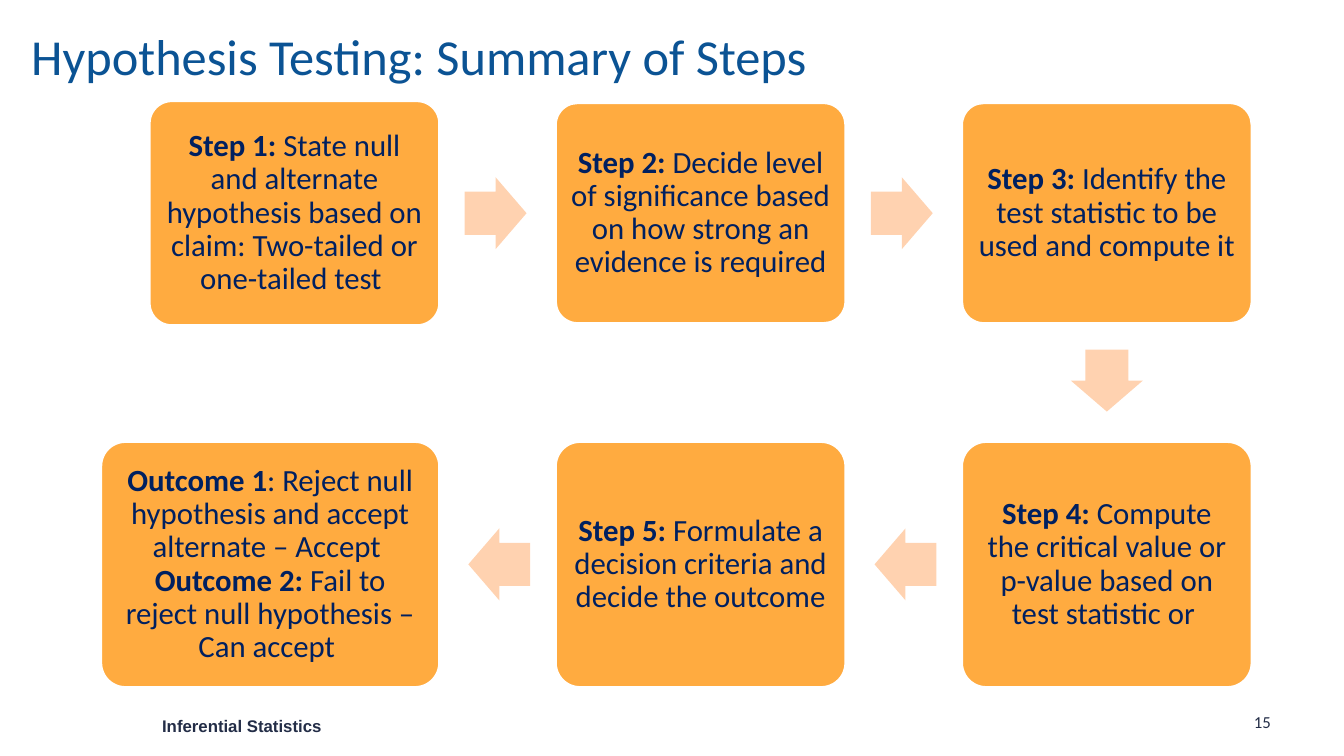
from pptx import Presentation
from pptx.dml.color import RGBColor
from pptx.enum.shapes import MSO_SHAPE
from pptx.enum.text import MSO_ANCHOR, MSO_AUTO_SIZE, PP_ALIGN
from pptx.util import Pt

BLUE = RGBColor(0x0B, 0x53, 0x94)
NAVY = RGBColor(0x00, 0x20, 0x60)
SLATE = RGBColor(0x23, 0x2D, 0x47)
AMBER = RGBColor(0xFF, 0xAB, 0x40)
PEACH = RGBColor(0xFF, 0xD2, 0xB0)
WHITE = RGBColor(0xFF, 0xFF, 0xFF)

LEFT, PITCH = 106.6, 290.15
WIDE = 207.4
TOP, HIGH = 73.4, 157.7
LOW, TALL = 315.4, 175.7
ARROW_W, ARROW_H = 44.2, 51.4


class Deck:
    def __init__(self, slide, font="Calibri"):
        self.slide = slide
        self.font = font

    def run(self, para, text, size, color, bold=False, font=None):
        run = para.add_run()
        run.text = text
        run.font.name = font or self.font
        run.font.size = Pt(size)
        run.font.bold = bold
        run.font.color.rgb = color

    def title(self, text, x, y, w, h):
        title = self.slide.shapes.title
        title.left, title.top, title.width, title.height = map(Pt, (x, y, w, h))
        frame = title.text_frame
        frame.word_wrap = True
        frame.auto_size = MSO_AUTO_SIZE.NONE
        frame.vertical_anchor = MSO_ANCHOR.MIDDLE
        para = frame.paragraphs[0]
        para.alignment = PP_ALIGN.LEFT
        para.line_spacing = 0.9
        self.run(para, text, 36, BLUE)

    def label(self, text, x, y, w, h, bold=False, font=None):
        box = self.slide.shapes.add_textbox(*map(Pt, (x, y, w, h)))
        box.text_frame.word_wrap = True
        self.run(box.text_frame.paragraphs[0], text, 12, SLATE, bold, font)

    def shape(self, kind, x, y, w, h, fill):
        shape = self.slide.shapes.add_shape(kind, *map(Pt, (x, y, w, h)))
        shape.shadow.inherit = False
        shape.fill.solid()
        shape.fill.fore_color.rgb = fill
        return shape

    def card(self, parts, x, y, w, h):
        card = self.shape(MSO_SHAPE.ROUNDED_RECTANGLE, x, y, w, h, AMBER)
        card.adjustments[0] = 0.1
        card.line.color.rgb = WHITE
        card.line.width = Pt(2)
        frame = card.text_frame
        frame.word_wrap = True
        frame.vertical_anchor = MSO_ANCHOR.MIDDLE
        frame.margin_left = frame.margin_right = Pt(6.5)
        frame.margin_top = frame.margin_bottom = Pt(6.5)
        para = frame.paragraphs[0]
        para.alignment = PP_ALIGN.CENTER
        para.line_spacing = 0.9
        for order, (head, body) in enumerate(parts):
            if order:
                para.add_line_break()
            self.run(para, head, 22, NAVY, True)
            self.run(para, body, 22, NAVY)

    def arrow(self, x, y, turn=0):
        arrow = self.shape(MSO_SHAPE.RIGHT_ARROW, x, y, ARROW_W, ARROW_H, PEACH)
        arrow.adjustments[0] = 0.6
        arrow.adjustments[1] = 0.5
        arrow.line.fill.background()
        arrow.rotation = turn


def main():
    prs = Presentation()
    prs.slide_width, prs.slide_height = Pt(960), Pt(540)
    deck = Deck(prs.slides.add_slide(prs.slide_layouts[5]))
    deck.title("Hypothesis Testing: Summary of Steps", 15.1, 14.4, 743, 56.2)

    cols = [LEFT + PITCH * col for col in range(3)]
    one = [("Step 1: ", "State null and alternate hypothesis based on claim: "
            "Two-tailed or one-tailed test ")]
    two = [("Step 2: ", "Decide level of significance based on how strong "
            "an evidence is required")]
    three = [("Step 3: ", "Identify the test statistic to be used and compute it")]
    four = [("Step 4: ", "Compute the critical value or p-value based on "
             "test statistic or ")]
    five = [("Step 5: ", "Formulate a decision criteria and decide the outcome")]
    ends = [("Outcome 1", ": Reject null hypothesis and accept alternate – Accept "),
            ("Outcome 2: ", "Fail to reject null hypothesis – Can accept ")]

    deck.card(one, cols[0], 72, WIDE, 160.6)
    deck.card(two, cols[1], TOP, WIDE, HIGH)
    deck.card(three, cols[2], TOP, WIDE, HIGH)
    deck.card(four, cols[2], LOW, WIDE, TALL)
    deck.card(five, cols[1], LOW, WIDE, TALL)
    deck.card(ends, 72, LOW, 242, TALL)

    for x in cols[:2]:
        deck.arrow(x + 225.3, 126.6)
        deck.arrow(x + 227.9, 377.4, 180)
    deck.arrow(cols[2] + (WIDE - ARROW_W) / 2, 246.2, 90)

    deck.label("Inferential Statistics", 108.7, 507.6, 157.7, 36, True, "Arial")
    deck.label("15", 888.5, 504.7, 48.2, 21.6)
    prs.save("out.pptx")


if __name__ == "__main__":
    main()
